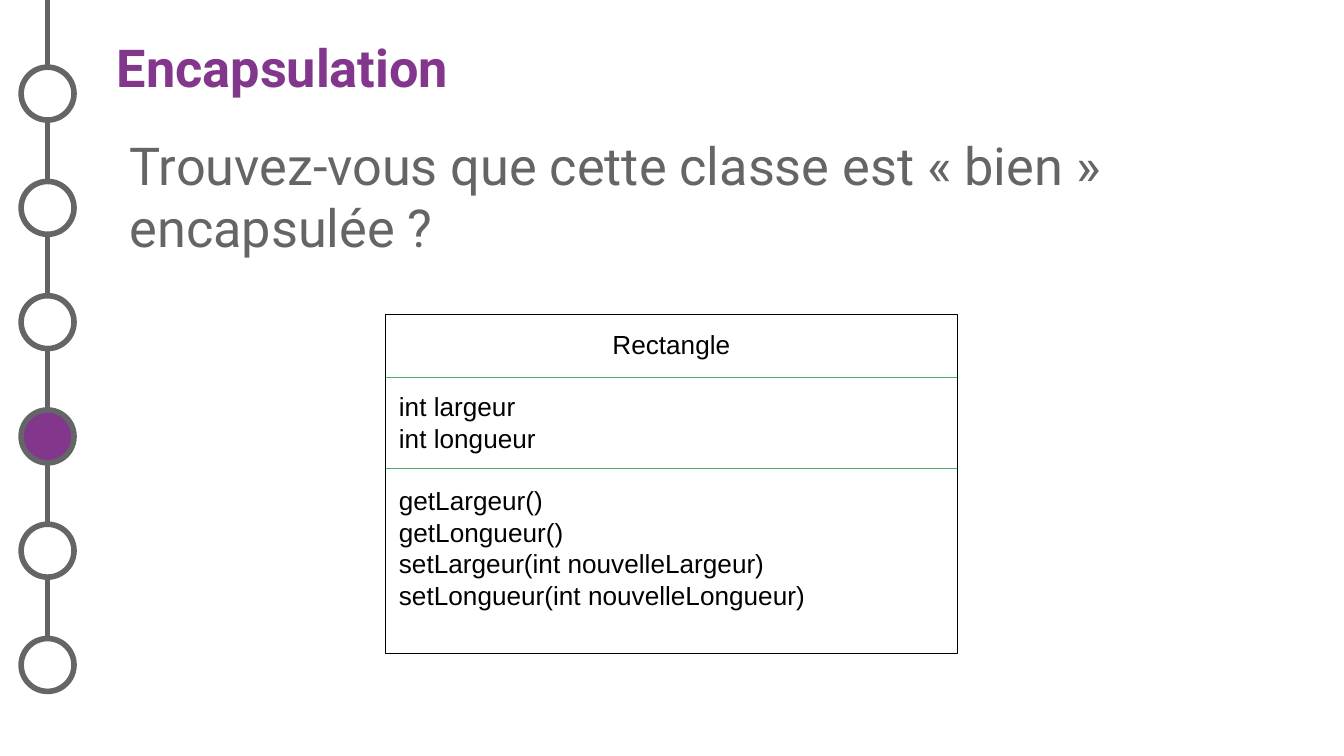
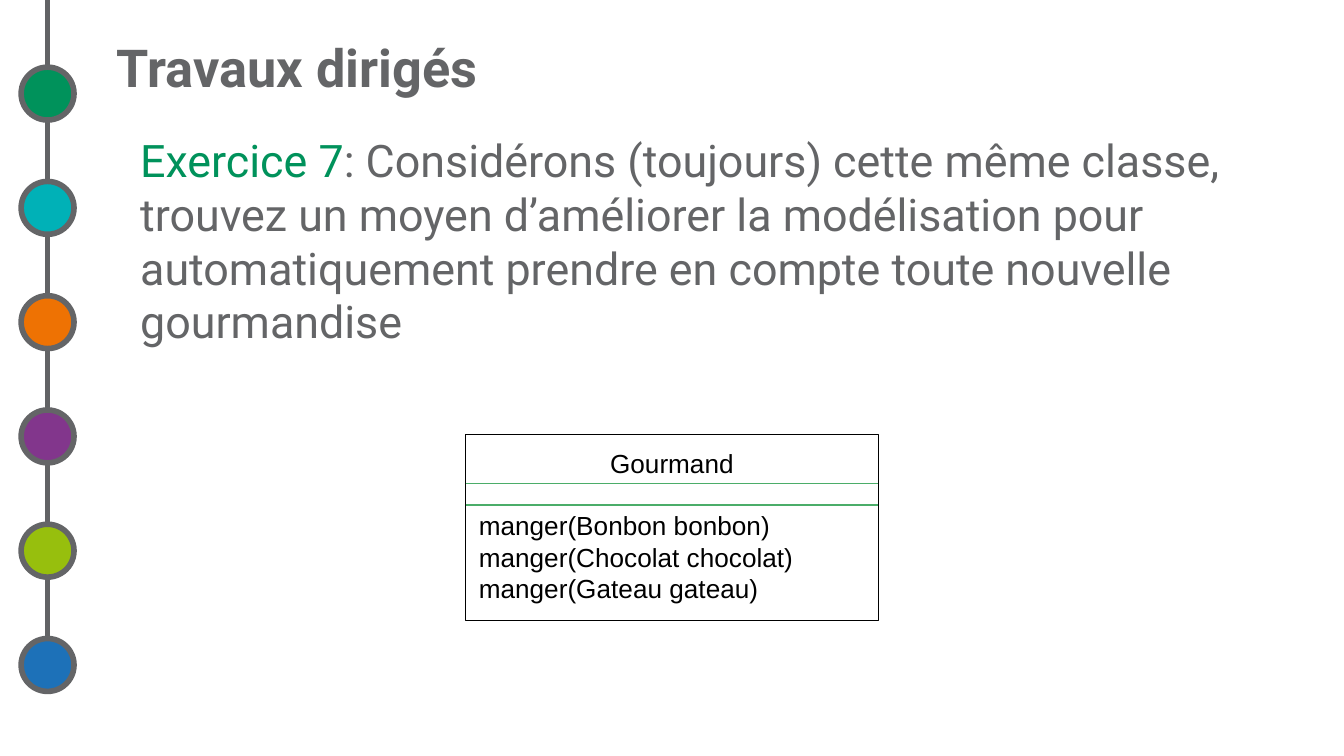
from pptx import Presentation
from pptx import util as u
from pptx.dml import color
from pptx.enum import shapes, text
from pptx.oxml import xmlchemy as xc

HUES = {"grey": "646567", "rail": "626365", "white": "FFFFFF", "black": "000000",
        "green": "00925B", "teal": "00B1B7", "orange": "EE7203",
        "plum": "82368C", "lime": "97BF0D", "blue": "1D71B8", "rule": "4BAD69"}
STOPS = ["green", "teal", "orange", "plum", "lime", "blue"]
RAIL = (0.4, 0, 1, 12.75)
HEAD = (2.21, 0.51, 22.25, 1.5)
BODY = (1.9, 2.26, 23.11, 11.48)
FLAT = dict.fromkeys(("margin_left", "margin_right", "margin_top", "margin_bottom"), 0)
INSET = dict.fromkeys(FLAT, u.Cm(0.25))
TITLE = {"name": "Roboto", "size": u.Pt(28), "bold": True}
CODE = {"name": "Arial", "size": u.Pt(14)}
PITCH = u.Pt(16.8)


def hue(name):
    """Return the colour of a given name."""
    return color.RGBColor.from_string(HUES[name])


def apply(item, form):
    """Set each attribute of a format dict on an item."""
    for key, value in form.items():
        setattr(item, key, value)


def write(para, words, form, tint):
    """Add a run of styled words to a paragraph."""
    run = para.add_run()
    run.text = words
    apply(run.font, form)
    run.font.color.rgb = hue(tint)


def stroke(line, tint, width):
    """Style an outline or a line."""
    line.color.rgb = hue(tint)
    line.width = u.Pt(width)


def link(parts, ends, tint, width):
    """Draw a straight line without shadow."""
    line = parts.add_connector(shapes.MSO_CONNECTOR.STRAIGHT, *map(u.Cm, ends))
    stroke(line.line, tint, width)
    props = line._element.spPr
    props.append(xc.OxmlElement("a:effectLst"))


def solid(parts, kind, box, fill, tint, width):
    """Draw a filled preset shape with an outline."""
    shape = parts.add_shape(kind, *map(u.Cm, box))
    shape.shadow.inherit = False
    shape.fill.solid()
    shape.fill.fore_color.rgb = hue(fill)
    stroke(shape.line, tint, width)
    return shape


def label(slide, box, form):
    """Add a wrapping text box and return its first paragraph."""
    frame = slide.shapes.add_textbox(*map(u.Cm, box)).text_frame
    apply(frame, {"word_wrap": True, **form})
    return frame.paragraphs[0]


def rail(slide, box, lit):
    """Draw the progress rail with the lit stops in colour."""
    left, top, size, length = box
    parts = slide.shapes.add_group_shape().shapes
    mid = left + size / 2
    link(parts, (mid, top, mid, top + length), "rail", 3)
    for pos, name in enumerate(STOPS):
        spot = (left, top + 1.27 + 2.16 * pos, size, size)
        fill = name if name in lit else "white"
        solid(parts, shapes.MSO_SHAPE.OVAL, spot, fill, "grey", 3)


def head(slide, box, words, tint):
    """Write the slide title."""
    para = label(slide, box, {"vertical_anchor": text.MSO_ANCHOR.MIDDLE, **FLAT})
    write(para, words, TITLE, tint)


def body(slide, box, runs, size, indent):
    """Write the main text from runs of words and colour."""
    para = label(slide, box, INSET)
    para.space_before = u.Pt(2)
    para._p.get_or_add_pPr().set("marL", str(u.Cm(indent)))
    for words, tint in runs:
        write(para, words, {"name": "Roboto", "size": u.Pt(size)}, tint)


def card(slide, box, name, blocks, rules):
    """Draw a class diagram: name, blocks of members and rules between."""
    left, top, width, _ = box
    shape = solid(slide.shapes, shapes.MSO_SHAPE.RECTANGLE, box, "white", "black", 0.25)
    frame = shape.text_frame
    apply(frame, {"word_wrap": True, "vertical_anchor": text.MSO_ANCHOR.TOP, **INSET})
    para = frame.paragraphs[0]
    apply(para, {"alignment": text.PP_ALIGN.CENTER, "line_spacing": PITCH})
    write(para, name, CODE, "black")
    for block in blocks:
        for pos, words in enumerate(block):
            para = frame.add_paragraph()
            apply(para, {"alignment": text.PP_ALIGN.LEFT, "line_spacing": PITCH,
                         "space_before": u.Pt(0) if pos else PITCH})
            write(para, words, CODE, "black")
    for drop in rules:
        link(slide.shapes, (left, top + drop, left + width, top + drop), "rule", 0.75)


def page(deck, title, tint, lit, prose, chart):
    """Build one slide from its title, lit stops, text and class diagram."""
    slide = deck.slides.add_slide(deck.slide_layouts[6])
    body(slide, BODY, **prose)
    head(slide, HEAD, title, tint)
    rail(slide, RAIL, lit)
    card(slide, **chart)


def main():
    """Build the deck and save it."""
    deck = Presentation()
    apply(deck, {"slide_width": u.Cm(25.4), "slide_height": u.Cm(14.29)})
    page(deck, "Encapsulation", "plum", ["plum"],
         {"runs": [("Trouvez-vous que cette classe est « bien » encapsulée ?", "grey")],
          "size": 28, "indent": 0.3},
         {"box": (7.29, 5.95, 10.8, 6.4), "name": "Rectangle",
          "blocks": [["int largeur", "int longueur"],
                     ["getLargeur()", "getLongueur()",
                      "setLargeur(int nouvelleLargeur)",
                      "setLongueur(int nouvelleLongueur)"]],
          "rules": [1.19, 2.9]})
    page(deck, "Travaux dirigés", "grey", STOPS,
         {"runs": [("Exercice 7", "green"),
                   (": Considérons (toujours) cette même classe, trouvez un moyen "
                    "d’améliorer la modélisation pour automatiquement prendre en "
                    "compte toute nouvelle gourmandise", "grey")],
          "size": 24, "indent": 0.5},
         {"box": (8.8, 8.2, 7.8, 3.53), "name": "Gourmand",
          "blocks": [["manger(Bonbon bonbon)", "manger(Chocolat chocolat)",
                      "manger(Gateau gateau)"]],
          "rules": [1.35, 0.94]})
    deck.save("out.pptx")


if __name__ == "__main__":
    main()
